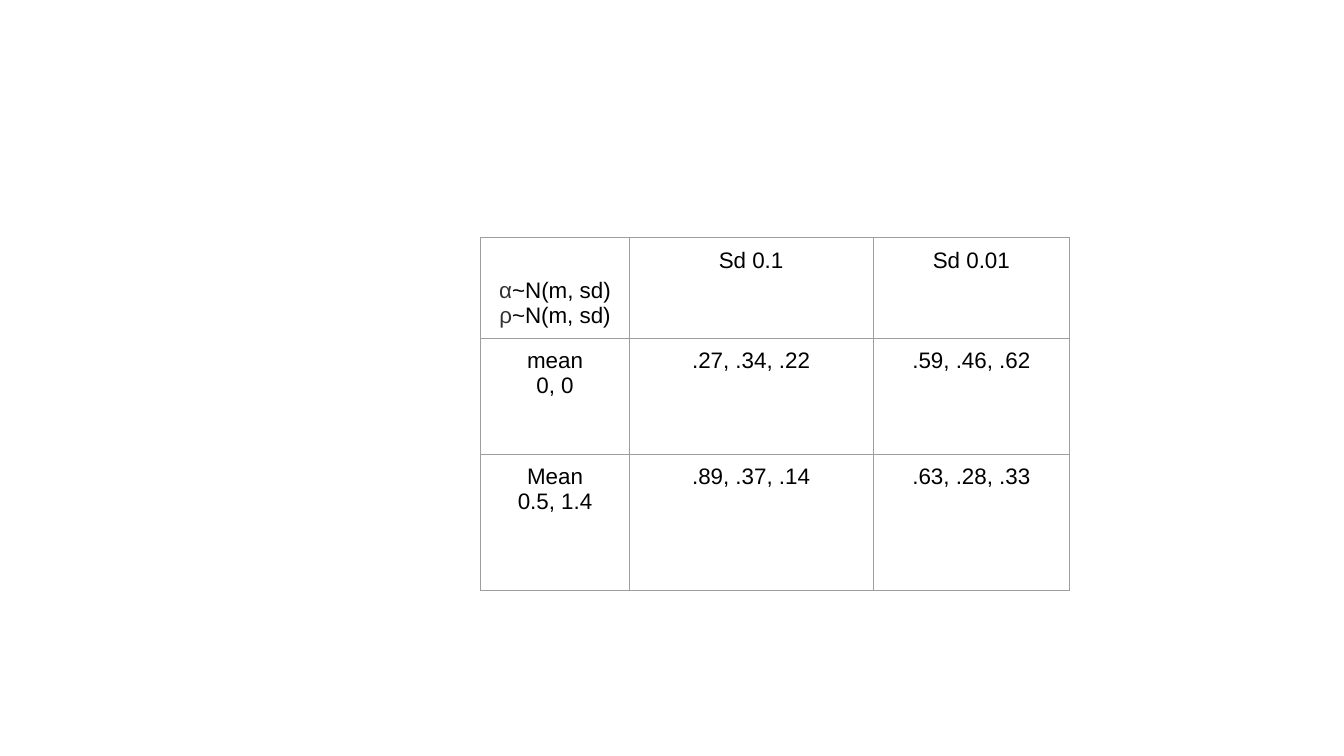
import pptx
import pptx.dml.color
import pptx.enum.text
import pptx.oxml
import pptx.oxml.ns
import pptx.util
from pptx.util import Inches

INK = "000000"
GREEK_INK = "333333"
RULE = "9E9E9E"

GRID = [
    [["α~N(m, sd)", "ρ~N(m, sd)"], ["Sd 0.1"], ["Sd 0.01"]],
    [["mean", "0, 0"], [".27, .34, .22"], [".59, .46, .62"]],
    [["Mean", "0.5, 1.4"], [".89, .37, .14"], [".63, .28, .33"]],
]
COLUMN_WIDTHS = [1.47, 2.42, 1.95]
ROW_HEIGHTS = [1, 1.15, 1.35]
LEFT, TOP = 4.77, 2.36
MARGIN = 0.1


def color(value):
    return pptx.dml.color.RGBColor.from_string(value)


def add_borders(cell):
    properties = cell._tc.get_or_add_tcPr()
    for index, side in enumerate(("lnL", "lnR", "lnT", "lnB")):
        border = pptx.oxml.parse_xml(
            f'<a:{side} {pptx.oxml.ns.nsdecls("a")} w="9525"><a:solidFill>'
            f'<a:srgbClr val="{RULE}"/></a:solidFill></a:{side}>'
        )
        properties.insert(index, border)


def write_line(paragraph, line):
    paragraph.alignment = pptx.enum.text.PP_ALIGN.CENTER
    symbol, tilde, rest = line.partition("~")
    pieces = [(symbol, GREEK_INK), (tilde + rest, INK)] if tilde else [(line, INK)]
    for text, ink in pieces:
        run = paragraph.add_run()
        run.text = text
        run.font.name = "Arial"
        run.font.size = pptx.util.Pt(16)
        run.font.bold = False
        run.font.color.rgb = color(ink)


def fill_cell(cell, lines):
    cell.fill.background()
    cell.margin_left = cell.margin_right = Inches(MARGIN)
    cell.margin_top = cell.margin_bottom = Inches(MARGIN)
    add_borders(cell)
    frame = cell.text_frame
    for index, line in enumerate(lines):
        write_line(frame.add_paragraph() if index else frame.paragraphs[0], line)


def main():
    deck = pptx.Presentation()
    deck.slide_width, deck.slide_height = Inches(13.33), Inches(7.5)
    slide = deck.slides.add_slide(deck.slide_layouts[6])
    priors = slide.shapes.add_table(
        len(ROW_HEIGHTS), len(COLUMN_WIDTHS), Inches(LEFT), Inches(TOP),
        Inches(sum(COLUMN_WIDTHS)), Inches(sum(ROW_HEIGHTS)),
    ).table
    priors.first_row = priors.horz_banding = False
    for column, width in zip(priors.columns, COLUMN_WIDTHS):
        column.width = Inches(width)
    for row, height, contents in zip(priors.rows, ROW_HEIGHTS, GRID):
        row.height = Inches(height)
        for cell, lines in zip(row.cells, contents):
            fill_cell(cell, lines)
    priors.cell(0, 0).vertical_anchor = pptx.enum.text.MSO_ANCHOR.BOTTOM
    deck.save("out.pptx")


if __name__ == "__main__":
    main()
